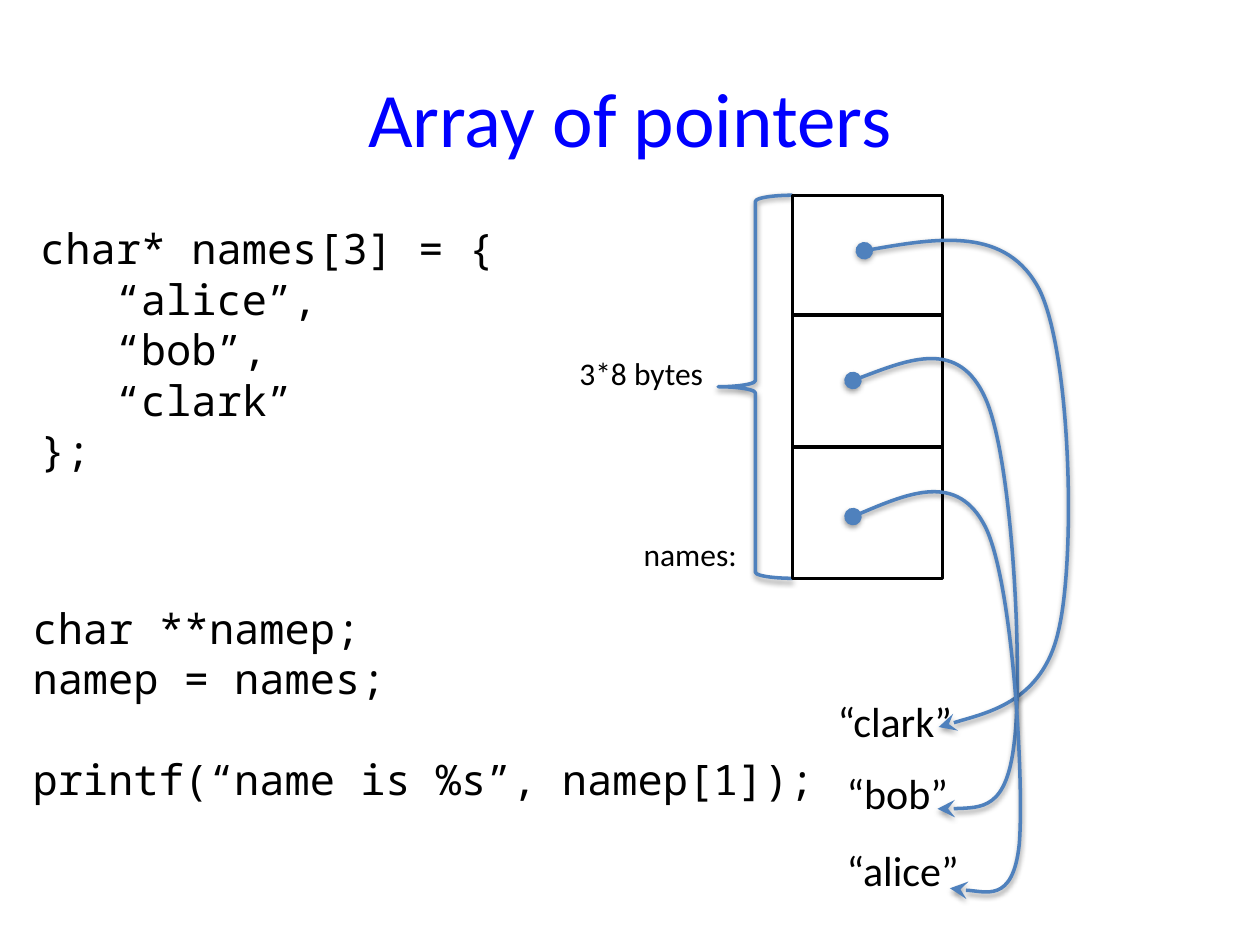
from dataclasses import dataclass
from itertools import accumulate

from lxml import etree
from pptx import Presentation
from pptx.dml.color import RGBColor
from pptx.enum.shapes import MSO_SHAPE
from pptx.enum.text import MSO_ANCHOR, PP_ALIGN
from pptx.oxml.ns import qn
from pptx.util import Inches, Pt


@dataclass(frozen=True)
class Theme:
    title_color: RGBColor = RGBColor(0, 0, 255)
    ink: RGBColor = RGBColor(0, 0, 0)
    paper: RGBColor = RGBColor(255, 255, 255)
    accent: RGBColor = RGBColor(0x4F, 0x81, 0xBD)
    sans: str = "Calibri"
    mono: str = "Noto Sans Mono"
    title_size: int = 44
    text_size: int = 24
    label_size: int = 18
    line_width: int = 2


THEME = Theme()
SLIDE_WIDTH, SLIDE_HEIGHT = Inches(10), Inches(7.5)
UNIT = SLIDE_WIDTH / 100
CURVE_STEPS = 24

ARRAY_LEFT, ARRAY_TOP, ARRAY_WIDTH = 62.9, 15.5, 11.9
CELL_HEIGHTS = [9.5, 10.5, 10.4]
BRACE_WIDTH = 5.9

DECLARATION = [("char* names[3] = {", 0, 0), ("“alice”,", 3, 0), ("“bob”,", 3, 0),
               ("“clark”", 3, 0), ("};", 0, 0)]
USAGE = [("char **namep;", 0, 0), ("namep = names;", 0, 0),
         ("printf(“name is %s”, namep[1]);", 0, 1)]

LABELS = [("3*8 bytes", 45, 27.6, 12, THEME.label_size),
          ("names:", 50.1, 42, 9.5, THEME.label_size),
          ("“clark”", 65.5, 54.7, 11.3, THEME.text_size),
          ("“bob”", 66.2, 60.4, 10.1, THEME.text_size),
          ("“alice”", 66.2, 66.5, 11.1, THEME.text_size)]

POINTERS = [
    [(68.6, 19.9), (74.2, 18.9), (79.9, 18), (82.5, 23), (85, 28.1),
     (85.4, 44.3), (84, 50.1), (82.7, 55.9), (74.5, 57.7), (74.5, 57.7)],
    [(67.7, 30.2), (71.9, 28.6), (76.1, 26.9), (78.2, 31.6), (80.4, 36.4),
     (81.2, 53.5), (80.5, 58.9), (79.9, 64.3), (77.1, 64.2), (74.4, 64.2)],
    [(67.7, 41), (71.9, 39.2), (76, 37.5), (78.2, 41.8), (80.4, 46.2),
     (81.3, 62.2), (80.9, 67), (80.4, 71.8), (75.4, 70.5), (75.4, 70.5)],
]


def grid(*lengths):
    return [round(length * UNIT) for length in lengths]


def style_font(font, name, size, color=THEME.ink):
    font.name, font.size = name, Pt(size)
    font.color.rgb = color


def style_line(shape, color):
    shape.shadow.inherit = False
    shape.line.color.rgb = color
    shape.line.width = Pt(THEME.line_width)


def cast_shadow(shape):
    effects = shape._element.spPr.find(qn("a:effectLst"))
    shadow = etree.SubElement(effects, qn("a:outerShdw"), blurRad=str(Pt(3.1)),
                              dist=str(Pt(1.6)), dir="5400000", rotWithShape="0")
    color = etree.SubElement(shadow, qn("a:srgbClr"), val=str(THEME.ink))
    etree.SubElement(color, qn("a:alpha"), val="38000")


def add_title(slide, text):
    title = slide.shapes.title
    title.left, title.top, title.width, title.height = grid(5, 3, 90, 12.5)
    frame = title.text_frame
    frame.text = text
    frame.vertical_anchor = MSO_ANCHOR.MIDDLE
    paragraph = frame.paragraphs[0]
    paragraph.alignment = PP_ALIGN.CENTER
    style_font(paragraph.runs[0].font, THEME.sans, THEME.title_size, THEME.title_color)


def add_code(slide, lines, left, top, height, inset):
    frame = slide.shapes.add_textbox(*grid(left, top, 65.5, height)).text_frame
    frame.word_wrap = True
    frame.margin_top, = grid(inset)
    frame.text = "\n".join(text for text, _, _ in lines)
    for paragraph, (_, indent, gap) in zip(frame.paragraphs, lines):
        style_font(paragraph.runs[0].font, THEME.mono, THEME.text_size)
        paragraph.space_before = Pt(gap * THEME.text_size * 1.2)
        properties = paragraph._p.get_or_add_pPr()
        properties.set("marL", str(Pt(indent * THEME.text_size * 0.6)))
        properties.set("indent", "0")


def add_label(slide, text, left, top, width, size):
    height = 4 if size == THEME.label_size else 5
    frame = slide.shapes.add_textbox(*grid(left, top, width, height)).text_frame
    frame.word_wrap = False
    frame.text = text
    style_font(frame.paragraphs[0].runs[0].font, THEME.sans, size)


def add_array(slide):
    tops = accumulate(CELL_HEIGHTS, initial=ARRAY_TOP)
    for top, height in zip(tops, CELL_HEIGHTS):
        cell = slide.shapes.add_shape(
            MSO_SHAPE.RECTANGLE, *grid(ARRAY_LEFT, top, ARRAY_WIDTH, height))
        cell.fill.solid()
        cell.fill.fore_color.rgb = THEME.paper
        style_line(cell, THEME.ink)


def add_brace(slide):
    brace = slide.shapes.add_shape(MSO_SHAPE.LEFT_BRACE, *grid(
        ARRAY_LEFT - BRACE_WIDTH, ARRAY_TOP, BRACE_WIDTH, sum(CELL_HEIGHTS)))
    brace.fill.background()
    style_line(brace, THEME.accent)
    cast_shadow(brace)


def bezier(controls, t):
    weights = ((1 - t) ** 3, 3 * t * (1 - t) ** 2, 3 * t * t * (1 - t), t ** 3)
    return tuple(sum(w * v for w, v in zip(weights, axis)) for axis in zip(*controls))


def curve_bounds(points):
    samples = [bezier(points[i:i + 4], step / CURVE_STEPS)
               for i in range(0, len(points) - 1, 3)
               for step in range(CURVE_STEPS + 1)]
    xs, ys = zip(*samples)
    return (min(xs), min(ys)), (max(xs), max(ys))


def add_path_command(path, name, points, origin):
    command = etree.SubElement(path, qn(name))
    for point in points:
        x, y = grid(*(value - start for value, start in zip(point, origin)))
        etree.SubElement(command, qn("a:pt"), x=str(x), y=str(y))


def add_pointer(slide, points):
    origin, corner = curve_bounds(points)
    builder = slide.shapes.build_freeform(*grid(*origin))
    builder.add_line_segments([grid(*corner)], close=False)
    pointer = builder.convert_to_shape()
    path = pointer._element.spPr.find(".//" + qn("a:path"))
    for command in list(path):
        path.remove(command)
    add_path_command(path, "a:moveTo", points[:1], origin)
    for start in range(1, len(points), 3):
        add_path_command(path, "a:cubicBezTo", points[start:start + 3], origin)
    pointer.fill.background()
    style_line(pointer, THEME.accent)
    cast_shadow(pointer)
    line = pointer.line._get_or_add_ln()
    for end, head in (("a:headEnd", "oval"), ("a:tailEnd", "stealth")):
        etree.SubElement(line, qn(end), type=head, w="lg", len="lg")


def main():
    deck = Presentation()
    deck.slide_width, deck.slide_height = SLIDE_WIDTH, SLIDE_HEIGHT
    slide = deck.slides.add_slide(deck.slide_layouts.get_by_name("Title Only"))
    add_title(slide, "Array of pointers")
    add_code(slide, DECLARATION, 2.2, 17.2, 24.2, 0.5)
    add_brace(slide)
    add_array(slide)
    for label in LABELS:
        add_label(slide, *label)
    for points in POINTERS:
        add_pointer(slide, points)
    add_code(slide, USAGE, 1.6, 41.4, 26.3, 6.4)
    deck.save("out.pptx")


main()
